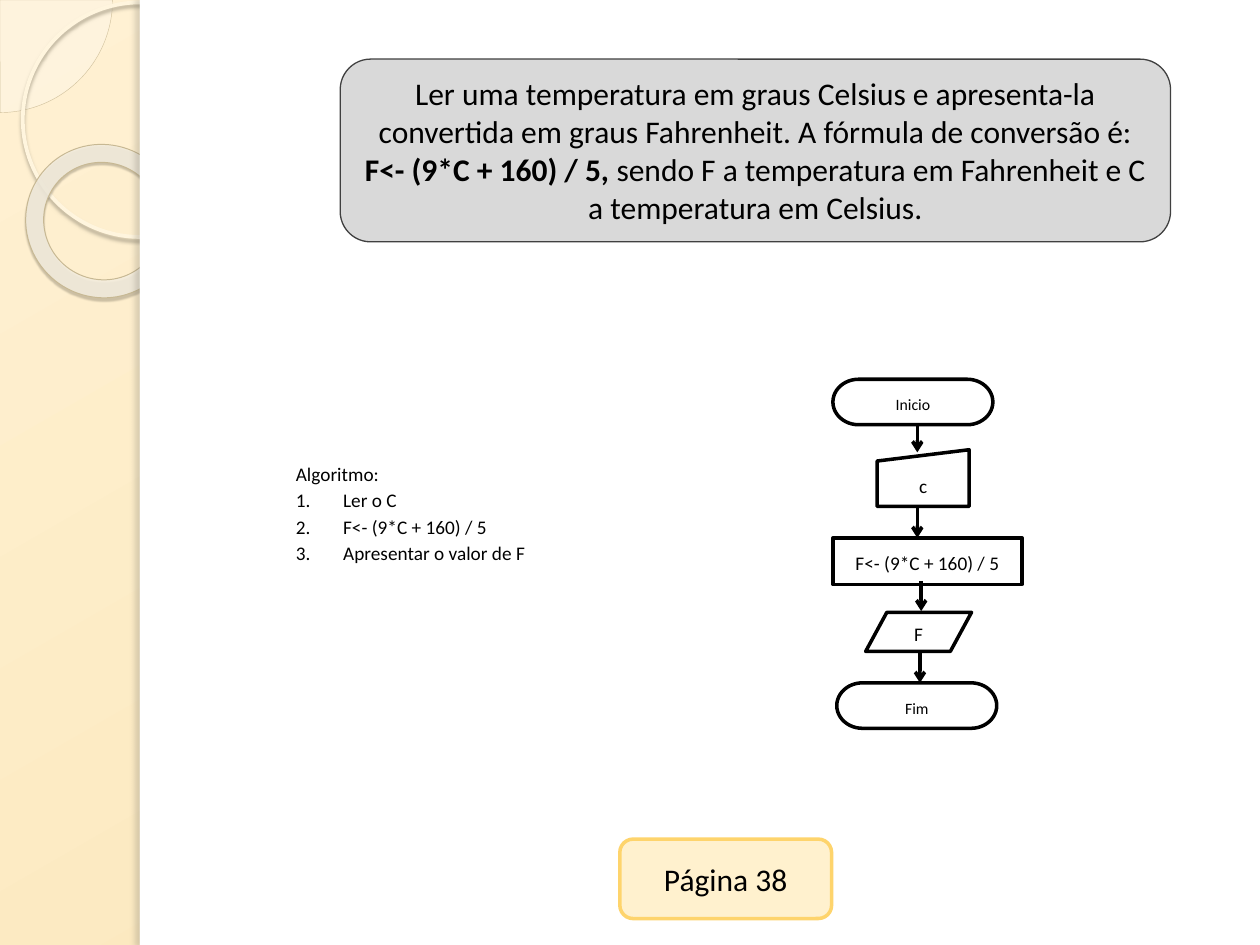
from dataclasses import dataclass

from lxml.etree import SubElement
from pptx import Presentation
from pptx.dml.color import RGBColor
from pptx.enum.shapes import MSO_CONNECTOR, MSO_SHAPE
from pptx.enum.text import MSO_ANCHOR, PP_ALIGN
from pptx.oxml.ns import qn
from pptx.util import Pt


@dataclass(frozen=True)
class Theme:
    font: str = "Calibri"
    black: str = "000000"
    white: str = "FFFFFF"
    back_top: str = "FFF1D3"
    back_bottom: str = "FAE5B5"
    pie: str = "FEFAF4"
    pie_line: str = "D3C39F"
    ring_line: str = "FFF5DE"
    ring_shadow: str = "B0A68F"
    donut: str = "F3EDDF"
    donut_line: str = "C7B893"
    donut_shadow: str = "5A5444"
    panel_shadow: str = "736F63"
    statement: str = "D9D9D9"
    statement_line: str = "404040"
    button: str = "FFF1CE"
    button_line: str = "FED46C"
    large: float = 18
    body: float = 11
    small: float = 9
    flow_line: float = 2


THEME = Theme()


def color(code):
    return RGBColor.from_string(code)


def add_box(shapes, kind, box, fill=None, line=None, weight=1, opacity=100):
    shape = shapes.add_shape(kind, *(Pt(value) for value in box))
    shape.shadow.inherit = False
    if fill:
        shape.fill.solid()
        shape.fill.fore_color.rgb = color(fill)
        if opacity < 100:
            choice = shape._element.spPr.find(qn("a:solidFill"))[0]
            SubElement(choice, qn("a:alpha"), val=str(opacity * 1000))
    else:
        shape.fill.background()
    if line:
        shape.line.color.rgb = color(line)
        shape.line.width = Pt(weight)
    else:
        shape.line.fill.background()
    return shape


def add_shadow(shape, code, opacity, blur, distance, angle):
    effects = shape._element.spPr.find(qn("a:effectLst"))
    outer = SubElement(effects, qn("a:outerShdw"), blurRad=str(Pt(blur)),
                       dist=str(Pt(distance)), dir=str(angle * 60000),
                       algn="tl", rotWithShape="0")
    choice = SubElement(outer, qn("a:srgbClr"), val=code)
    SubElement(choice, qn("a:alpha"), val=str(opacity * 1000))


def add_span(para, text, size=THEME.body, bold=False):
    span = para.add_run()
    span.text = text
    span.font.name = THEME.font
    span.font.size = Pt(size)
    span.font.bold = bold
    span.font.color.rgb = color(THEME.black)


def write(shape, *texts, size=THEME.body, anchor=MSO_ANCHOR.MIDDLE, spacing=None, after=None):
    """Fill a shape with one centred paragraph of (text, bold) spans."""
    frame = shape.text_frame
    frame.word_wrap = True
    frame.vertical_anchor = anchor
    para = frame.paragraphs[0]
    para.alignment = PP_ALIGN.CENTER
    if spacing:
        para.line_spacing = spacing
    if after:
        para.space_after = Pt(after)
    for text, bold in texts:
        add_span(para, text, size, bold)


def add_backdrop(page, box):
    left, top, width, height = box
    fill = page.background.fill
    fill.gradient()
    fill.gradient_angle = 300
    for stop, code in zip(fill.gradient_stops, (THEME.back_top, THEME.back_bottom)):
        stop.color.rgb = color(code)

    shapes = page.shapes
    pie = add_box(shapes, MSO_SHAPE.PIE, (left - 64.3, top - 64.3, 128.6, 128.6),
                  THEME.pie, THEME.pie_line, 0.25, opacity=33)
    pie.adjustments[0] = 0
    pie.adjustments[1] = 54
    ring = add_box(shapes, MSO_SHAPE.OVAL, (left + 13, top + 1.4, 134, 134),
                   line=THEME.ring_line, weight=2.15)
    add_shadow(ring, THEME.ring_shadow, 85, 2, 2, 90)
    donut = add_box(shapes, MSO_SHAPE.DONUT, (left + 14.4, top + 82.8, 88.6, 87.1),
                    THEME.donut, THEME.donut_line, 0.58, opacity=85)
    donut.adjustments[0] = 0.118
    donut.rotation = 38.6
    add_shadow(donut, THEME.donut_shadow, 35, 1, 1.2, 75)

    sidebar = 80
    strip = add_box(shapes, MSO_SHAPE.RECTANGLE, (left + sidebar, top, 6, height), THEME.white)
    add_shadow(strip, THEME.panel_shadow, 25, 3, 3, 180)
    add_box(shapes, MSO_SHAPE.RECTANGLE,
            (left + sidebar, top, width - sidebar, height), THEME.white)


def add_statement(page, box):
    shape = add_box(page.shapes, MSO_SHAPE.ROUNDED_RECTANGLE, box,
                    THEME.statement, THEME.statement_line, 0.75)
    write(shape,
          ("Ler uma temperatura em graus Celsius e apresenta-la convertida em graus "
           "Fahrenheit. A fórmula de conversão é: ", False),
          ("F<- (9*C + 160) / 5,", True),
          (" sendo F a temperatura em Fahrenheit e C a temperatura em Celsius.", False),
          size=THEME.large, anchor=MSO_ANCHOR.TOP)


def add_page_label(page, box):
    shape = add_box(page.shapes, MSO_SHAPE.ROUNDED_RECTANGLE, box,
                    THEME.button, THEME.button_line, 2)
    write(shape, ("Página 38", False), size=THEME.large)


def add_algorithm(page, box):
    frame = page.shapes.add_textbox(*(Pt(value) for value in box)).text_frame
    frame.word_wrap = True
    steps = ("Ler o C", "F<- (9*C + 160) / 5", "Apresentar o valor de F")
    for index, text in enumerate(("Algoritmo:", *steps)):
        para = frame.add_paragraph() if index else frame.paragraphs[0]
        para.line_spacing = 1.15
        if index:
            properties = para._p.get_or_add_pPr()
            properties.set("marL", str(Pt(27)))
            properties.set("indent", str(-Pt(27)))
            SubElement(properties, qn("a:buFont"), typeface="+mj-lt")
            SubElement(properties, qn("a:buAutoNum"), type="arabicPeriod")
        add_span(para, text)


def add_arrow(shapes, x, start, end):
    arrow = shapes.add_connector(MSO_CONNECTOR.STRAIGHT, Pt(x), Pt(start), Pt(x), Pt(end))
    arrow.line.color.rgb = color(THEME.black)
    arrow.line.width = Pt(THEME.flow_line)
    SubElement(arrow.line._get_or_add_ln(), qn("a:tailEnd"), type="arrow")
    SubElement(arrow._element.spPr, qn("a:effectLst"))


def add_flowchart(page, box):
    left, top, width, height = box
    shapes = page.shapes.add_group_shape().shapes
    end_width, end_height = 91.4, 26
    for text, x, y in (("Inicio", 0, 0), ("Fim", 2.2, height - end_height)):
        shape = add_box(shapes, MSO_SHAPE.FLOWCHART_TERMINATOR,
                        (left + x, top + y, end_width, end_height),
                        line=THEME.black, weight=THEME.flow_line)
        write(shape, (text, False), size=THEME.small, anchor=MSO_ANCHOR.TOP, spacing=1.15)

    steps = (
        (MSO_SHAPE.FLOWCHART_MANUAL_INPUT, "c", 25.2, 40.3, 52.6, 32.4),
        (MSO_SHAPE.RECTANGLE, "F<- (9*C + 160) / 5", 0, 90.7, width, 26.6),
        (MSO_SHAPE.FLOWCHART_DATA, "F", 18.7, 133.2, 60.5, 22.3),
    )
    for kind, text, x, y, step_width, step_height in steps:
        shape = add_box(shapes, kind, (left + x, top + y, step_width, step_height),
                        THEME.white, THEME.black, THEME.flow_line)
        write(shape, (text, False), spacing=1.15, after=10)

    for x, start, end in ((48.2, 26.6, 41.8), (48.2, 72.7, 90.7),
                          (50.4, 115.2, 132.5), (49.7, 155.5, 173.5)):
        add_arrow(shapes, left + x, top + start, top + end)


def main():
    deck = Presentation()
    deck.slide_width, deck.slide_height = Pt(720), Pt(540)
    page = deck.slides.add_slide(deck.slide_layouts[6])
    add_backdrop(page, (0, 0, 720, 540))
    add_statement(page, (194.4, 33.8, 474.5, 104.4))
    add_page_label(page, (354.2, 479.5, 121, 45.4))
    add_algorithm(page, (162, 258.5, 242.6, 72))
    add_flowchart(page, (476, 216.7, 108, 199.5))
    deck.save("out.pptx")


if __name__ == "__main__":
    main()
